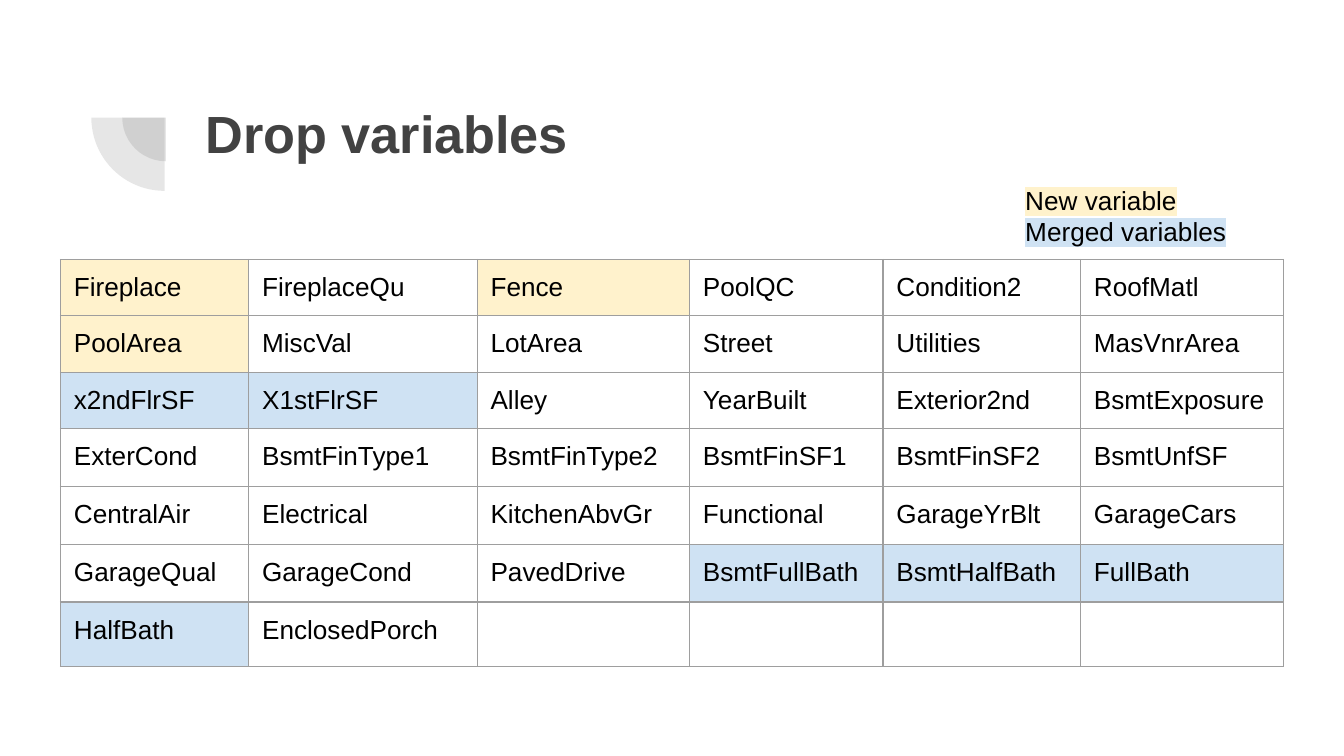
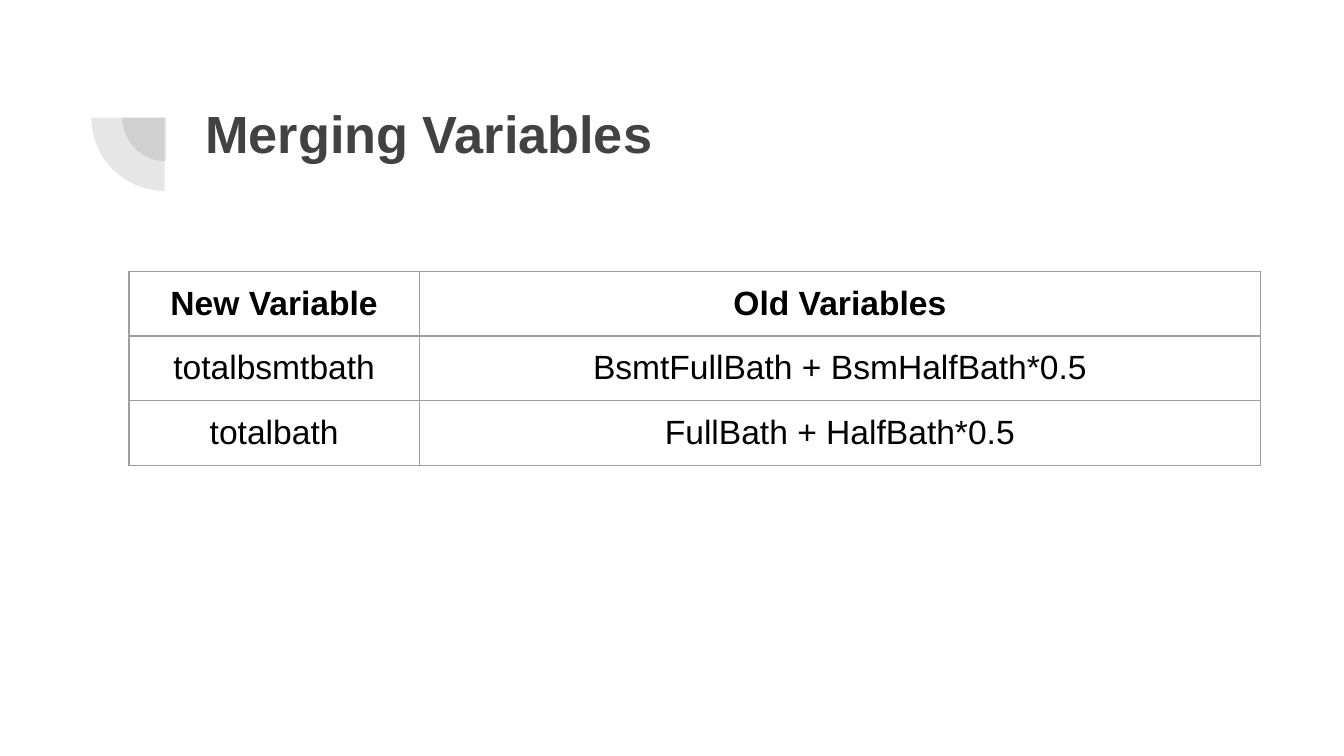
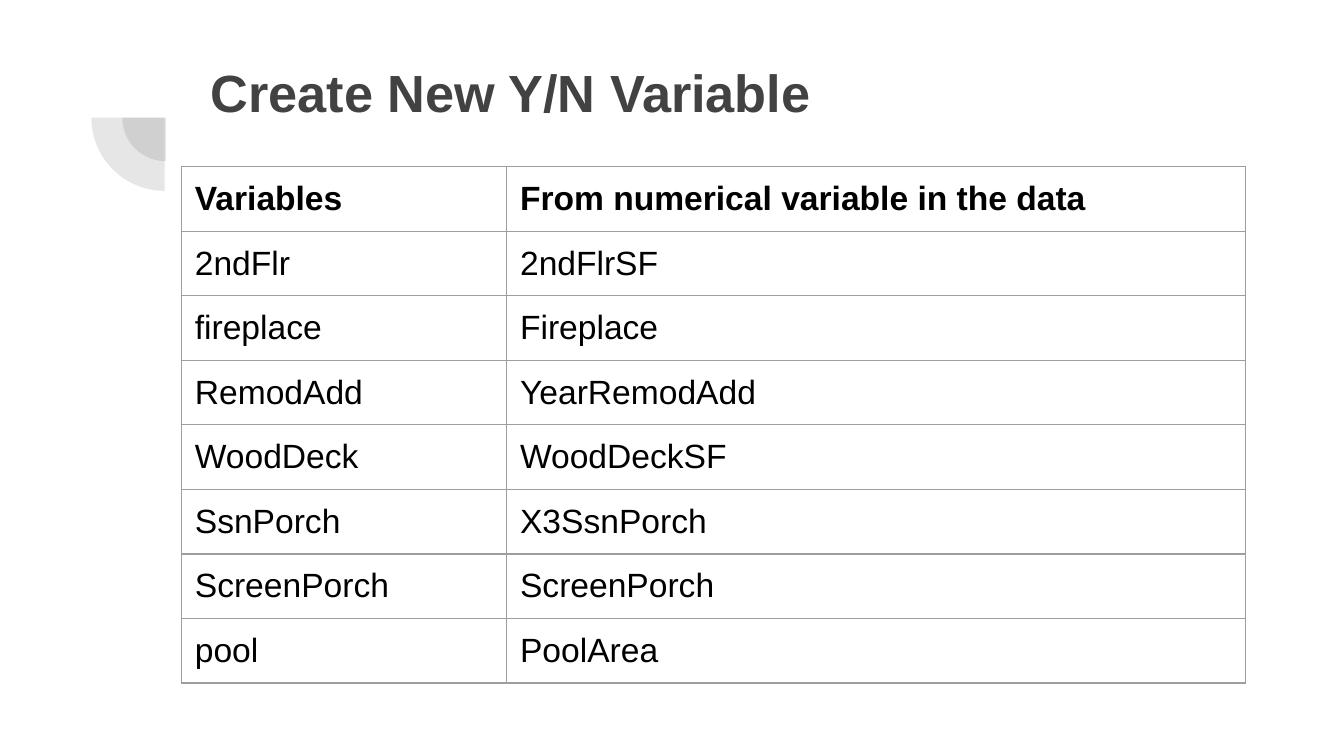
from dataclasses import dataclass

from lxml.etree import SubElement
from pptx import Presentation
from pptx.dml.color import RGBColor
from pptx.enum.shapes import MSO_SHAPE
from pptx.enum.text import MSO_ANCHOR, PP_ALIGN
from pptx.oxml.ns import qn
from pptx.util import Inches, Pt


@dataclass(frozen=True)
class Theme:
    font: str = "Arial"
    paper: str = "FFFFFF"
    dark: str = "424242"
    ink: str = "000000"
    rule: str = "9E9E9E"
    new: str = "FFF2CC"
    merged: str = "CFE2F3"
    head: int = 28
    body: int = 18
    small: int = 14
    line: float = 0.75
    tint: int = 13  # percent opacity of the corner mark
    pad: float = 0.1
    foot: float = 0.08  # bottom padding of a table cell


THEME = Theme()

# Content
DROPS = [
    ["Fireplace", "FireplaceQu", "Fence", "PoolQC", "Condition2", "RoofMatl"],
    ["PoolArea", "MiscVal", "LotArea", "Street", "Utilities", "MasVnrArea"],
    ["x2ndFlrSF", "X1stFlrSF", "Alley", "YearBuilt", "Exterior2nd", "BsmtExposure"],
    ["ExterCond", "BsmtFinType1", "BsmtFinType2", "BsmtFinSF1", "BsmtFinSF2", "BsmtUnfSF"],
    ["CentralAir", "Electrical", "KitchenAbvGr", "Functional", "GarageYrBlt", "GarageCars"],
    ["GarageQual", "GarageCond", "PavedDrive", "BsmtFullBath", "BsmtHalfBath", "FullBath"],
    ["HalfBath", "EnclosedPorch", "", "", "", ""],
]
TINTS = {
    THEME.new: ["Fireplace", "Fence", "PoolArea"],
    THEME.merged: ["x2ndFlrSF", "X1stFlrSF", "BsmtFullBath", "BsmtHalfBath",
                   "FullBath", "HalfBath"],
}
MARKS = {name: tint for tint, names in TINTS.items() for name in names}
LEGEND = [("New variable", THEME.new), ("Merged variables", THEME.merged)]
MERGES = [
    ["New Variable", "Old Variables"],
    ["totalbsmtbath", "BsmtFullBath + BsmHalfBath*0.5"],
    ["totalbath", "FullBath + HalfBath*0.5"],
]
FLAGS = [
    ["Variables", "From numerical variable in the data"],
    ["2ndFlr", "2ndFlrSF"],
    ["fireplace", "Fireplace"],
    ["RemodAdd", "YearRemodAdd"],
    ["WoodDeck", "WoodDeckSF"],
    ["SsnPorch", "X3SsnPorch"],
    ["ScreenPorch", "ScreenPorch"],
    ["pool", "PoolArea"],
]
SLIDES = [
    {"title": "Drop variables", "spot": (1.43, 0.65), "legend": LEGEND,
     "table": {"rows": DROPS, "at": (0.45, 1.93), "size": THEME.small, "marks": MARKS,
               "cols": [1.4, 1.7, 1.58, 1.44, 1.47, 1.51],
               "highs": [0.42] * 3 + [0.43] * 4}},
    {"title": "Merging Variables", "spot": (1.43, 0.65),
     "table": {"rows": MERGES, "at": (0.96, 2.02), "cols": [2.16, 6.26],
               "highs": [0.42, 0.42, 0.43], "head": True, "align": PP_ALIGN.CENTER}},
    {"title": "Create New Y/N Variable", "spot": (1.47, 0.35),
     "table": {"rows": FLAGS, "at": (1.35, 1.24), "cols": [2.42, 5.5],
               "highs": [0.42] * len(FLAGS), "head": True}},
]


# Text helpers
def add_run(para, text, size, color=THEME.ink, bold=False, glow=None):
    run = para.add_run()
    run.text = text
    font = run.font
    font.name, font.size, font.bold = THEME.font, Pt(size), bold
    font.color.rgb = RGBColor.from_string(color)
    if glow:
        props = run._r.get_or_add_rPr()
        mark = SubElement(props, qn("a:highlight"))
        SubElement(mark, qn("a:srgbClr"), val=glow)
        props.find(qn("a:solidFill")).addnext(mark)


def set_pad(part, foot=THEME.pad):
    part.margin_left = part.margin_right = part.margin_top = Inches(THEME.pad)
    part.margin_bottom = Inches(foot)
    part.vertical_anchor = MSO_ANCHOR.TOP


def add_box(slide, *box):
    frame = slide.shapes.add_textbox(*map(Inches, box)).text_frame
    frame.word_wrap = True
    set_pad(frame)
    return frame


# Shared corner mark and title
def add_frame(slide, title, spot):
    slide.background.fill.solid()
    slide.background.fill.fore_color.rgb = RGBColor.from_string(THEME.paper)
    for left, top, side in [(0.91, 0.55, 0.65), (0.68, 0.33, 1.09)]:
        pie = slide.shapes.add_shape(MSO_SHAPE.PIE, *map(Inches, (left, top, side, side)))
        pie.adjustments[0], pie.adjustments[1] = 108, 162
        pie.rotation = 270
        pie.shadow.inherit = False
        pie.line.fill.background()
        pie.fill.solid()
        pie.fill.fore_color.rgb = RGBColor.from_string(THEME.dark)
        tone = pie.element.spPr.find(qn("a:solidFill"))[0]
        SubElement(tone, qn("a:alpha"), val=str(THEME.tint * 1000))
    frame = add_box(slide, *spot, 7.69, 1.09)
    add_run(frame.paragraphs[0], title, THEME.head, THEME.dark, True)


# Ruled tables
def style_cell(cell, tint):
    set_pad(cell, THEME.foot)
    props = cell._tc.get_or_add_tcPr()
    for side in ("lnL", "lnR", "lnT", "lnB"):
        edge = SubElement(props, qn("a:" + side), w=str(Pt(THEME.line)))
        SubElement(SubElement(edge, qn("a:solidFill")), qn("a:srgbClr"), val=THEME.rule)
    if tint:
        cell.fill.solid()
        cell.fill.fore_color.rgb = RGBColor.from_string(tint)
    else:
        cell.fill.background()


def add_grid(slide, rows, at, cols, highs, size=THEME.body, marks=None,
             head=False, align=PP_ALIGN.LEFT):
    box = (*at, sum(cols), sum(highs))
    grid = slide.shapes.add_table(len(rows), len(cols), *map(Inches, box)).table
    grid.first_row = grid.horz_banding = False
    for col, wide in zip(grid.columns, cols):
        col.width = Inches(wide)
    for row, high in zip(grid.rows, highs):
        row.height = Inches(high)
    for r, row in enumerate(rows):
        for c, text in enumerate(row):
            cell = grid.cell(r, c)
            style_cell(cell, (marks or {}).get(text))
            if text:
                para = cell.text_frame.paragraphs[0]
                para.alignment = align
                add_run(para, text, size, bold=head and r == 0)


def add_legend(slide, items):
    frame = add_box(slide, 7.53, 1.27, 2.02, 0.66)
    for i, (text, tint) in enumerate(items):
        para = frame.add_paragraph() if i else frame.paragraphs[0]
        add_run(para, text, THEME.small, glow=tint)


def main():
    deck = Presentation()
    deck.slide_width = Inches(10)
    deck.slide_height = deck.slide_width * 9 // 16
    for page in SLIDES:
        slide = deck.slides.add_slide(deck.slide_layouts[6])
        add_frame(slide, page["title"], page["spot"])
        add_grid(slide, **page["table"])
        if "legend" in page:
            add_legend(slide, page["legend"])
    deck.save("out.pptx")


if __name__ == "__main__":
    main()
